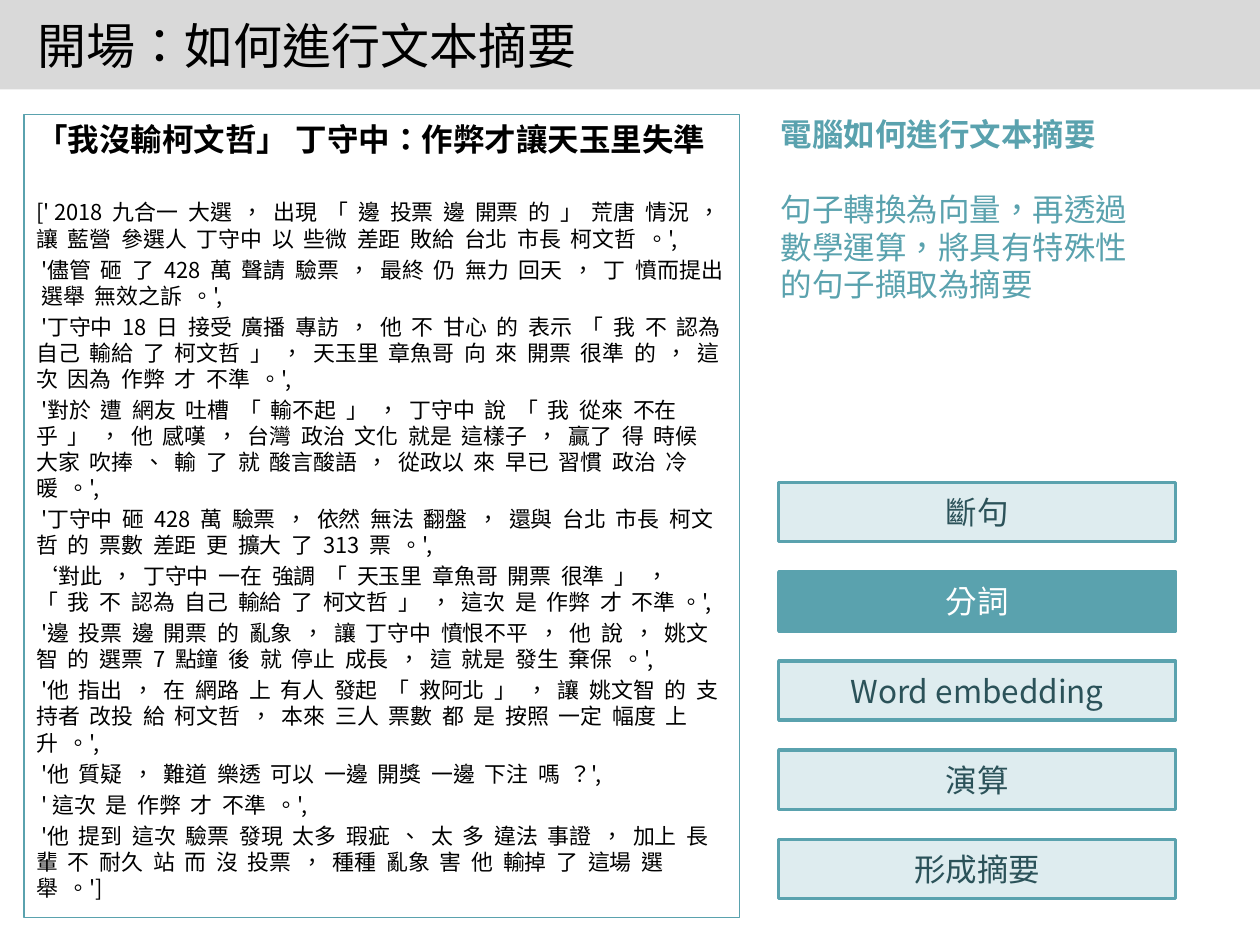
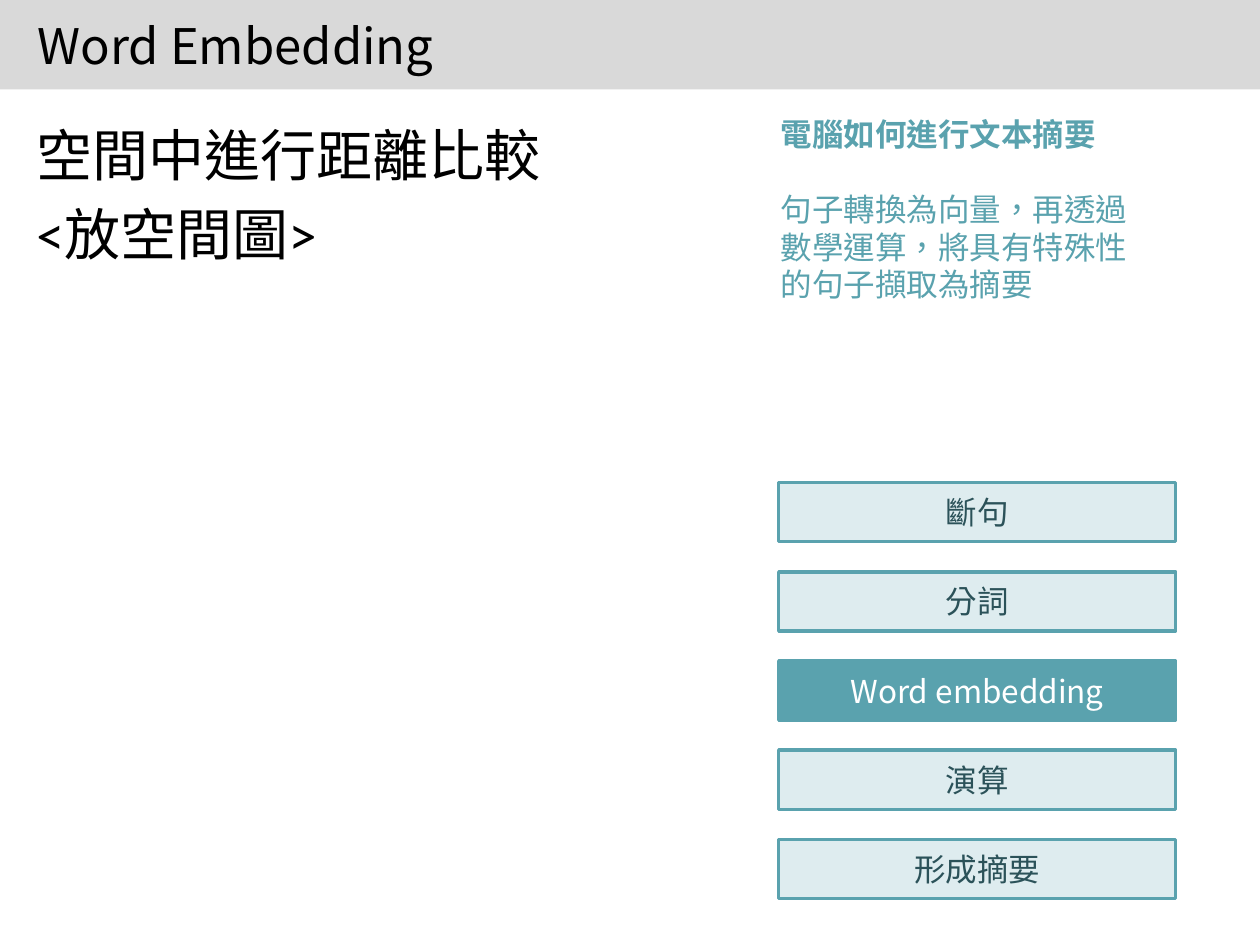
from dataclasses import dataclass
from typing import Any

import lxml.etree
import pptx
import pptx.dml.color
import pptx.enum.shapes
import pptx.enum.text
import pptx.oxml.ns
import pptx.util

Align = pptx.enum.text.PP_ALIGN
Anchor = pptx.enum.text.MSO_ANCHOR


@dataclass(frozen=True)
class Theme:
    band: str = "D9D9D9"
    teal: str = "5AA2AE"
    pale: str = "DEECEF"
    deep: str = "2B5259"
    black: str = "000000"
    white: str = "FFFFFF"
    font: str = "Noto Sans CJK SC"
    latin: str = "Calibri"
    title: float = 28
    large: float = 32
    head: float = 18
    small: float = 12.5
    line: float = 1.19  # line height, as a share of the type size
    gap: float = 0.22   # space between paragraphs, likewise


@dataclass(frozen=True)
class Box:
    """A place on the grid: column, row, width and height in cells."""
    col: float
    row: float
    wide: float
    high: float


@dataclass(frozen=True)
class Para:
    text: str
    size: float
    color: str
    bold: bool = False
    before: float = 0
    font: str = Theme.font
    align: Any = Align.LEFT


@dataclass(frozen=True)
class Page:
    title: str
    area: Box
    paras: list[Para]
    step: str
    framed: bool = False


look = Theme()
COLS, ROWS = 100, 75

# Shared places and wording
BAND = Box(0, 0, COLS, 7.1)
TITLE = Box(2, 1.3, 90, 4.6)
SIDE = Box(61, 8.7, 30.7, 16.2)
STEP = Box(61.8, 38.3, 31.5, 4.7)
PITCH = 7.08
STEPS = ["斷句", "分詞", "Word embedding", "演算", "形成摘要"]
NOTE = [
    Para("電腦如何進行文本摘要", look.head, look.teal, True),
    Para("句子轉換為向量，再透過數學運算，將具有特殊性的句子擷取為摘要",
         look.head, look.teal, before=look.head * look.line),
]

# Segmented news story
HEAD = "「我沒輸柯文哲」 丁守中：作弊才讓天玉里失準"
STORY = [
    "[' 2018  九合一  大選  ，  出現  「  邊  投票  邊  開票  的  」  荒唐  情況  ，  "
    "讓  藍營  參選人  丁守中  以  些微  差距  敗給  台北  市長  柯文哲  。',",
    " '儘管  砸  了  428  萬  聲請  驗票  ，  最終  仍  無力  回天  ，  丁  憤而提出  "
    "選舉  無效之訴  。',",
    " '丁守中  18  日  接受  廣播  專訪  ，  他  不  甘心  的  表示  「  我  不  認為  "
    "自己  輸給  了  柯文哲  」  ，  天玉里  章魚哥  向  來  開票  很準  的  ，  "
    "這次  因為  作弊  才  不準  。',",
    " '對於  遭  網友  吐槽  「  輸不起  」  ，  丁守中  說  「  我  從來  不在乎  」  ，  "
    "他  感嘆  ，  台灣  政治  文化  就是  這樣子  ，  贏了  得  時候  大家  吹捧  、  "
    "輸  了  就  酸言酸語  ，  從政以  來  早已  習慣  政治  冷暖  。',",
    " '丁守中  砸  428  萬  驗票  ，  依然  無法  翻盤  ，  還與  台北  市長  柯文哲  "
    "的  票數  差距  更  擴大  了  313  票  。',",
    "‘對此  ，  丁守中  一在  強調  「  天玉里  章魚哥  開票  很準  」  ，  "
    "「  我  不  認為  自己  輸給  了  柯文哲  」  ，  這次  是  作弊  才  不準 。',",
    " '邊  投票  邊  開票  的  亂象  ，  讓  丁守中  憤恨不平  ，  他  說  ，  姚文智  "
    "的  選票  7  點鐘  後  就  停止  成長  ，  這  就是  發生  棄保  。',",
    " '他  指出  ，  在  網路  上  有人  發起  「  救阿北  」  ，  讓  姚文智  的  支持者  "
    "改投  給  柯文哲  ，  本來  三人  票數  都  是  按照  一定  幅度  上升  。',",
    " '他  質疑  ，  難道  樂透  可以  一邊  開獎  一邊  下注  嗎  ？',",
    " ' 這次  是  作弊  才  不準  。',",
    " '他  提到  這次  驗票  發現  太多  瑕疵  、  太  多  違法  事證  ，  加上  長輩  不  "
    "耐久  站  而  沒  投票  ，  種種  亂象  害  他  輸掉  了  這場  選舉  。']",
]

deck = pptx.Presentation()
deck.slide_width = pptx.util.Inches(10)
deck.slide_height = pptx.util.Inches(7.5)
plain = deck.slide_layouts[5]


def rgb(code: str) -> Any:
    return pptx.dml.color.RGBColor.from_string(code)


def cells(box: Box) -> tuple[int, int, int, int]:
    """Turn grid cells into left, top, width and height."""
    across, down = deck.slide_width / COLS, deck.slide_height / ROWS
    return (round(box.col * across), round(box.row * down),
            round(box.wide * across), round(box.high * down))


def write(frame: Any, paras: list[Para], anchor: Any = Anchor.TOP) -> None:
    frame.word_wrap = True
    frame.vertical_anchor = anchor
    for pos, item in enumerate(paras):
        para = frame.paragraphs[0] if pos == 0 else frame.add_paragraph()
        para.alignment = item.align
        para.line_spacing = pptx.util.Pt(round(item.size * look.line, 1))
        para.space_before = pptx.util.Pt(round(item.before, 1))
        run = para.add_run()
        run.text = item.text
        run.font.name = item.font
        run.font.size = pptx.util.Pt(item.size)
        run.font.bold = item.bold
        run.font.color.rgb = rgb(item.color)
        # East Asian face and regional glyph forms
        props = run.font._element
        props.set("lang", "zh-TW")
        east = lxml.etree.SubElement(props, pptx.oxml.ns.qn("a:ea"))
        east.set("typeface", look.font)


def rect(slide: Any, box: Box, fill: str = "", edge: str = "",
         width: float = 0) -> Any:
    shape = slide.shapes.add_shape(
        pptx.enum.shapes.MSO_SHAPE.RECTANGLE, *cells(box))
    shape.shadow.inherit = False
    if fill:
        shape.fill.solid()
        shape.fill.fore_color.rgb = rgb(fill)
    else:
        shape.fill.background()
    if edge:
        shape.line.color.rgb = rgb(edge)
        shape.line.width = pptx.util.Pt(width)
    else:
        shape.line.fill.background()
    return shape


def text(slide: Any, box: Box, paras: list[Para]) -> None:
    write(slide.shapes.add_textbox(*cells(box)).text_frame, paras)


def share(slide: Any) -> None:
    """Put the title band on the layout, behind every title."""
    band = rect(slide, BAND, look.band)._element
    band.nvSpPr.cNvPr.set("id", "99")
    plain.shapes._spTree.insert(2, band)


def steps(slide: Any, active: str) -> None:
    for pos, name in enumerate(STEPS):
        lit = name == active
        place = Box(STEP.col, STEP.row + pos * PITCH, STEP.wide, STEP.high)
        shape = rect(slide, place, look.teal if lit else look.pale,
                     look.teal, 2)
        color = look.white if lit else look.deep
        write(shape.text_frame,
              [Para(name, look.head, color, align=Align.CENTER)],
              Anchor.MIDDLE)


def build(page: Page) -> None:
    slide = deck.slides.add_slide(plain)
    if len(deck.slides) == 1:
        share(slide)
    # Title
    title = slide.shapes.title
    title.left, title.top, title.width, title.height = cells(TITLE)
    write(title.text_frame, [Para(page.title, look.title, look.black)],
          Anchor.MIDDLE)
    # Main text
    if page.framed:
        frame = rect(slide, page.area, edge=look.teal, width=0.75)
        write(frame.text_frame, page.paras)
    else:
        text(slide, page.area, page.paras)
    # Side note and steps
    text(slide, SIDE, NOTE)
    steps(slide, page.step)


# Main text of each slide
story = [Para(HEAD, look.head, look.black, True, look.head * look.gap)]
for pos, line in enumerate(STORY):
    before = 23.4 if pos == 0 else look.small * look.gap
    story.append(Para(line, look.small, look.black, before=before))

space = [Para(line, look.large, look.black, before=look.large * look.gap,
              font=look.latin)
         for line in ("空間中進行距離比較", "<放空間圖>")]

PAGES = [
    Page("開場：如何進行文本摘要", Box(1.9, 9.1, 56.8, 63.7), story,
         "分詞", True),
    Page("Word Embedding", Box(1.9, 9.1, 90, 49.5), space,
         "Word embedding"),
]
for page in PAGES:
    build(page)

deck.save("out.pptx")
